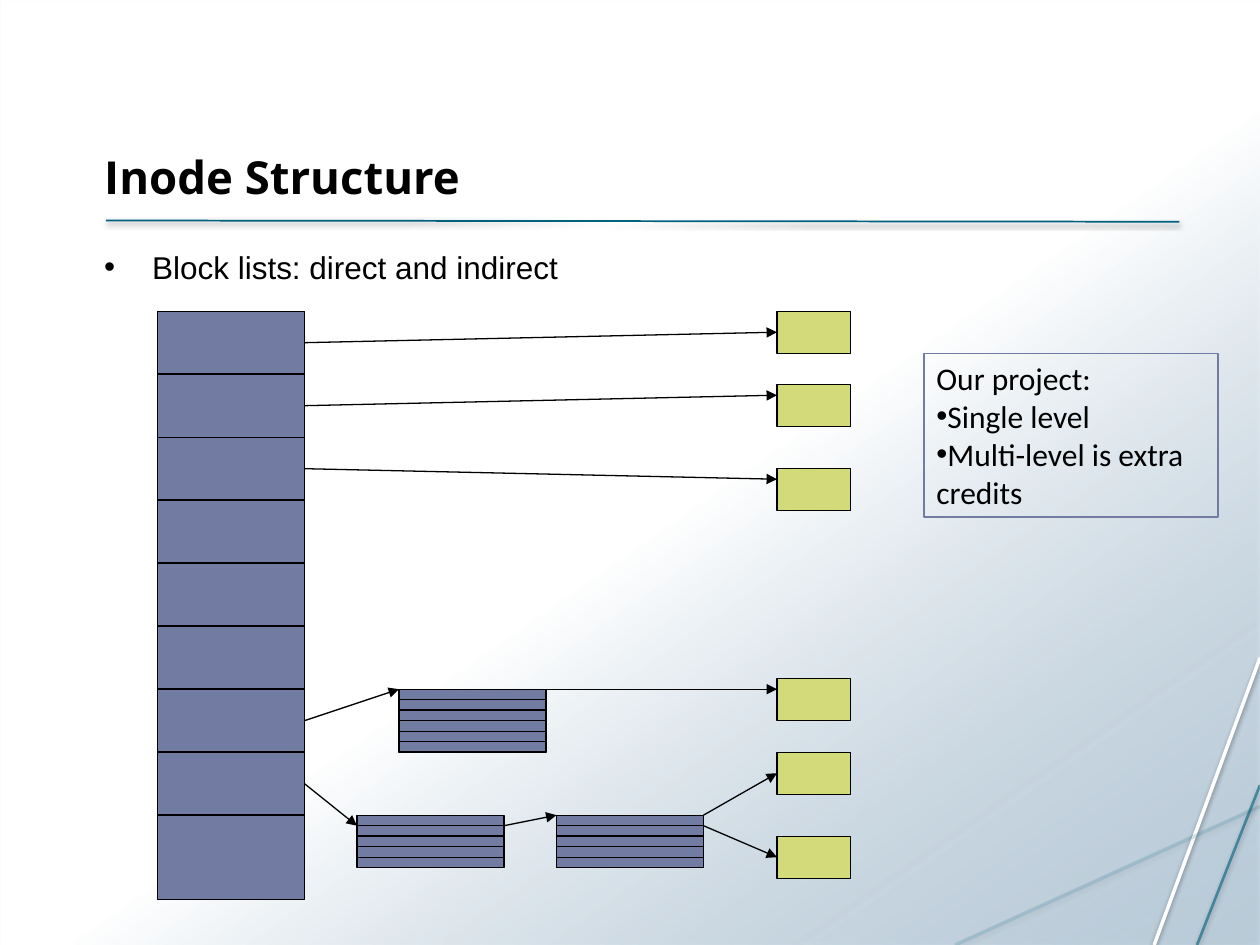
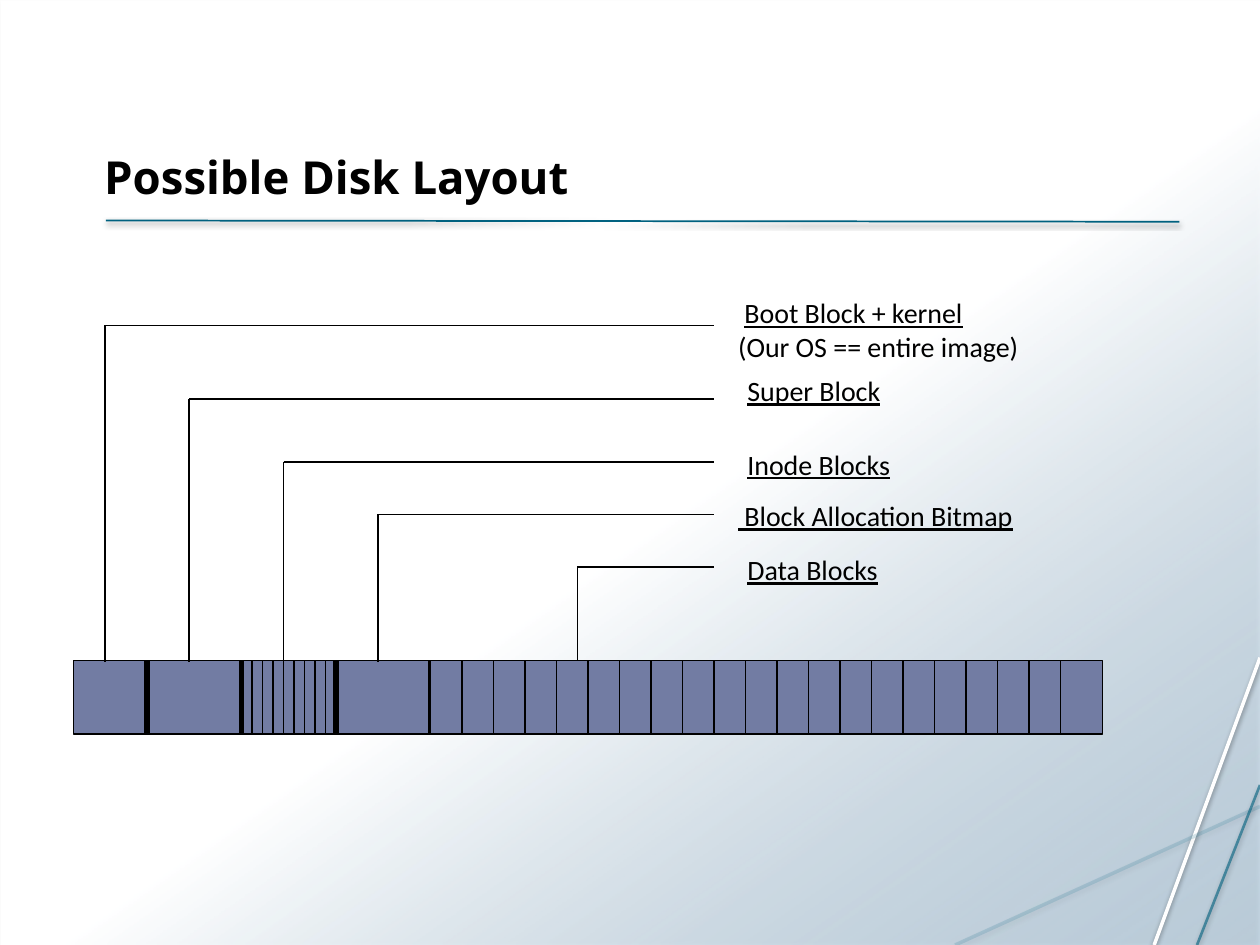
from pptx import Presentation
from pptx.util import Inches, Pt
from pptx.dml.color import RGBColor
from pptx.enum.shapes import MSO_SHAPE as Form, MSO_CONNECTOR as Link
from pptx.enum.text import MSO_ANCHOR as Anchor
from pptx.oxml.ns import qn
from lxml.etree import SubElement as Sub

hue = RGBColor.from_string
BLACK, WHITE, SLATE, LIME = "000000", "FFFFFF", "727CA3", "D2DA7A"
TEAL, OCEAN, SKY = "00617F", "15718F", "A8C8E0"
THIN = 0.74
COLS, ROWS = 120, 90

deck = Presentation()
deck.slide_width, deck.slide_height = Inches(10), Inches(7.5)
UNIT = deck.slide_width / COLS


def box(page, x, y, w, h, fill=SLATE):
    cell = page.shapes.add_shape(Form.RECTANGLE, *(round(v * UNIT) for v in (x, y, w, h)))
    cell.shadow.inherit = False
    cell.fill.solid()
    cell.fill.fore_color.rgb = hue(fill)
    cell.line.color.rgb = hue(BLACK)
    cell.line.width = Pt(THIN)
    return cell


def rule(page, ends, tint=BLACK, width=THIN, tip=False):
    line = page.shapes.add_connector(Link.STRAIGHT, *(round(v * UNIT) for v in ends))
    line.line.color.rgb = hue(tint)
    line.line.width = Pt(width)
    if tip:
        Sub(line.line._ln, qn("a:tailEnd"), type="triangle")
    Sub(line._element.spPr, qn("a:effectLst"))
    return line


STROKES = [
    ((120, 62.64, 109.92, 90), WHITE, 2, 100),
    ((120, 76.8, 90.96, 90), OCEAN, 2, 16),
    ((120, 74.76, 114, 90), TEAL, 1.5, 60),
    ((10.08, 21, 112.32, 21.12), TEAL, 1, 100),
]
HEAD = dict(size=Pt(26), name="Open Sans", bold=True)
BODY = dict(size=Pt(18), name="Arial")
NOTE = dict(size=Pt(18), name="Calibri")
TAG = dict(size=Pt(16), name="Calibri", underline=True)
PLAIN = dict(TAG, underline=False)

pages, texts = [], []
for title in ("Inode Structure", "Possible Disk Layout"):
    page = deck.slides.add_slide(deck.slide_layouts[6])
    pages.append(page)
    back = box(page, 0, 0, COLS, ROWS)
    back.line.fill.background()
    back.fill.gradient()
    back.fill.gradient_angle = 305
    for stop, spot, tint in zip(back.fill.gradient_stops, (0.54, 1), (WHITE, SKY)):
        stop.position = spot
        stop.color.rgb = hue(tint)
    last = list(back._element.spPr.iter(qn("a:srgbClr")))[1]
    Sub(last, qn("a:alpha"), val="54000")
    cast = [(back, 35, 1.8)]
    for ends, tint, width, share in STROKES:
        line = rule(page, ends, tint, width)
        ink = next(line._element.spPr.iter(qn("a:srgbClr")))
        Sub(ink, qn("a:alpha"), val=str(share * 1000))
        cast.append((line, 38, 1.6))
    for item, share, gap in cast:
        root = item._element.spPr.find(qn("a:effectLst"))
        shade = Sub(root, qn("a:outerShdw"), blurRad=str(Pt(3.1)), dist=str(Pt(gap)),
                    dir="5400000", algn="ctr", rotWithShape="0")
        ink = Sub(shade, qn("a:srgbClr"), val=BLACK)
        Sub(ink, qn("a:alpha"), val=str(share * 1000))
    texts.append((page, (8.75, 4, 103.5, 16), Anchor.BOTTOM, None,
                  [(title, HEAD, 0, 0, False)]))

inode, disk = pages

TOP = 29.64
box(inode, 15, TOP, 14, 56)
for row in (0, *range(12, 48, 6)):
    box(inode, 15, TOP + row, 14, 6)
for row in (0, 7, 15, 35, 42, 50):
    box(inode, 74, TOP + row, 7, 4, LIME)
box(inode, 38, TOP + 36, 14, 6)
for col, first, rows in ((38, 36, (0, 1, 2, 3, 5)), (34, 48, range(5)), (53, 48, range(5))):
    for row in rows:
        box(inode, col, TOP + first + row, 14, 1)
for x, y, far, end in (
    (29, 3, 74, 2), (29, 9, 74, 8), (29, 15, 74, 16),
    (29, 39, 38, 36), (52, 36, 74, 36), (29, 45, 34, 49),
    (48, 49, 53, 48), (67, 48, 74, 44), (67, 49, 74, 52),
):
    rule(inode, (x, TOP + y, far, TOP + end), tip=True)

BAR, TALL = 62.92, 7
box(disk, 7, BAR, 98, TALL)
for col in (14, 23, 32, 41):
    rule(disk, (col, BAR, col, BAR + TALL), width=3)
for col, row in ((10, 31), (18, 38), (27, 44), (36, 49), (55, 54)):
    rule(disk, (col, 63, col, row))
    rule(disk, (col, row, 68, row))
for col in (23, 24, 26, 27, 28, 30):
    box(disk, col, BAR, 1, TALL)
for col in range(41, 101, 3):
    box(disk, col, BAR, 3, TALL)
rule(disk, (23, BAR, 23, BAR + TALL), width=3)

texts += [
    (inode, (8.75, 23, 103.5, 57.36), Anchor.TOP, None,
     [("Block lists: direct and indirect", BODY, 0.38, -0.38, True)]),
    (inode, (88, 33.64, 28, 15.6), Anchor.TOP, SLATE,
     [("Our project:", NOTE, 0, 0, False),
      ("Single level", NOTE, 0, 0, True),
      ("Multi-level is extra credits", NOTE, 0, 0, True)]),
    (disk, (69.12, 27.6, 45, 7.56), Anchor.TOP, None,
     [("Boot Block + kernel", TAG, 0.05, 0, False),
      ("(Our OS == entire image)", PLAIN, 0, 0, False)]),
    (disk, (69.12, 46.92, 33, 7.56), Anchor.TOP, None,
     [(" Block Allocation Bitmap", TAG, 0, 0, False)]),
]
for word, row, wide in (("Super Block", 35, 27), ("Inode Blocks", 42, 23), ("Data Blocks", 52, 25)):
    texts.append((disk, (70, row, wide, 4.44), Anchor.TOP, None,
                  [(word, TAG, 0, 0, False)]))

for page, place, anchor, edge, paras in texts:
    area = page.shapes.add_textbox(*(round(v * UNIT) for v in place))
    if edge:
        area.line.color.rgb = hue(edge)
        area.line.width = Pt(THIN)
    frame = area.text_frame
    for key, val in dict(word_wrap=True, vertical_anchor=anchor).items():
        setattr(frame, key, val)
    for num, (words, style, left, dent, dot) in enumerate(paras):
        para = frame.add_paragraph() if num else frame.paragraphs[0]
        run = para.add_run()
        run.text = words
        run.font.color.rgb = hue(BLACK)
        for key, val in style.items():
            setattr(run.font, key, val)
        prop = para._p.get_or_add_pPr()
        prop.set("marL", str(Inches(left)))
        prop.set("indent", str(Inches(dent)))
        if dot:
            Sub(prop, qn("a:buFont"), typeface="Arial")
            Sub(prop, qn("a:buChar"), char="•")

deck.save("out.pptx")
